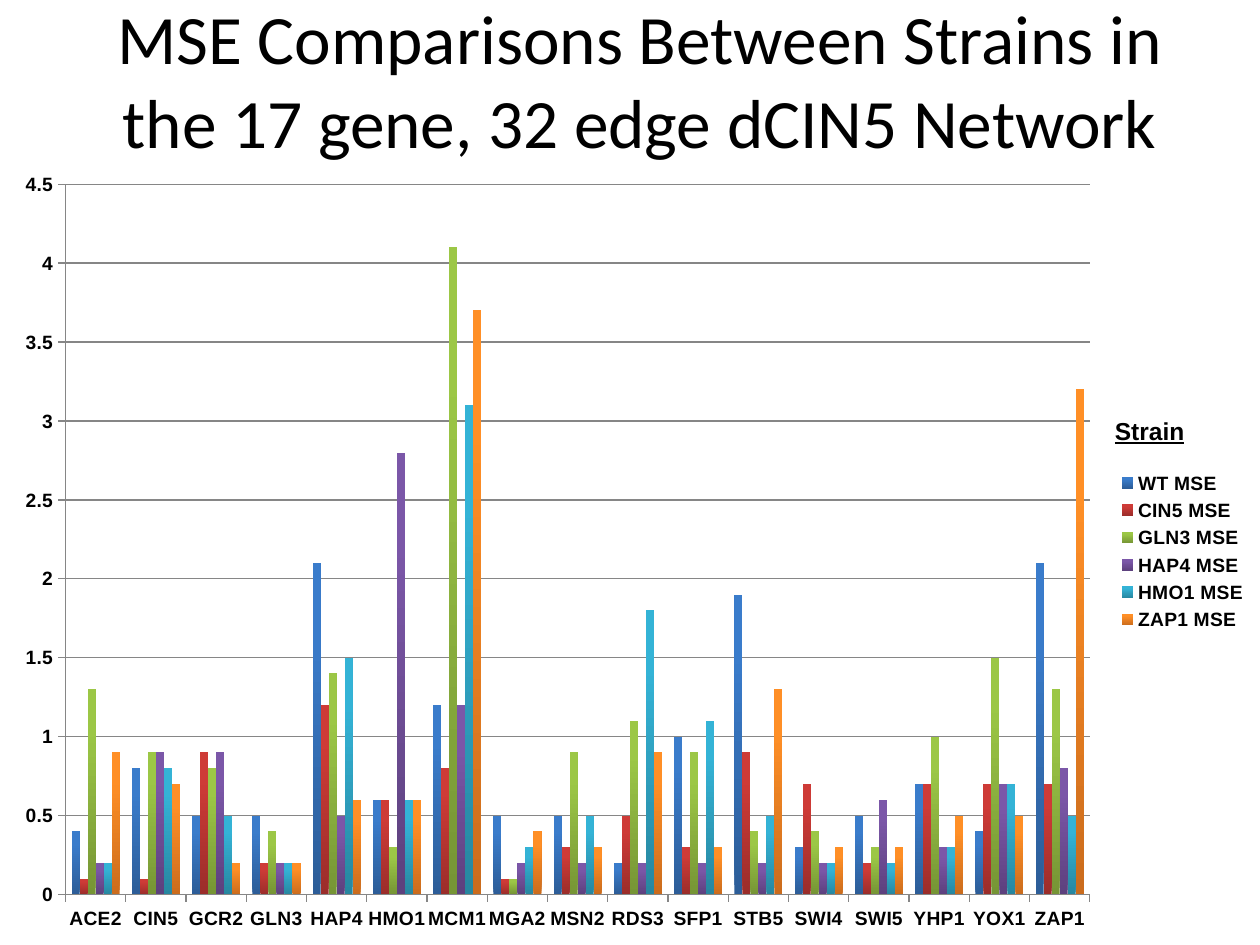
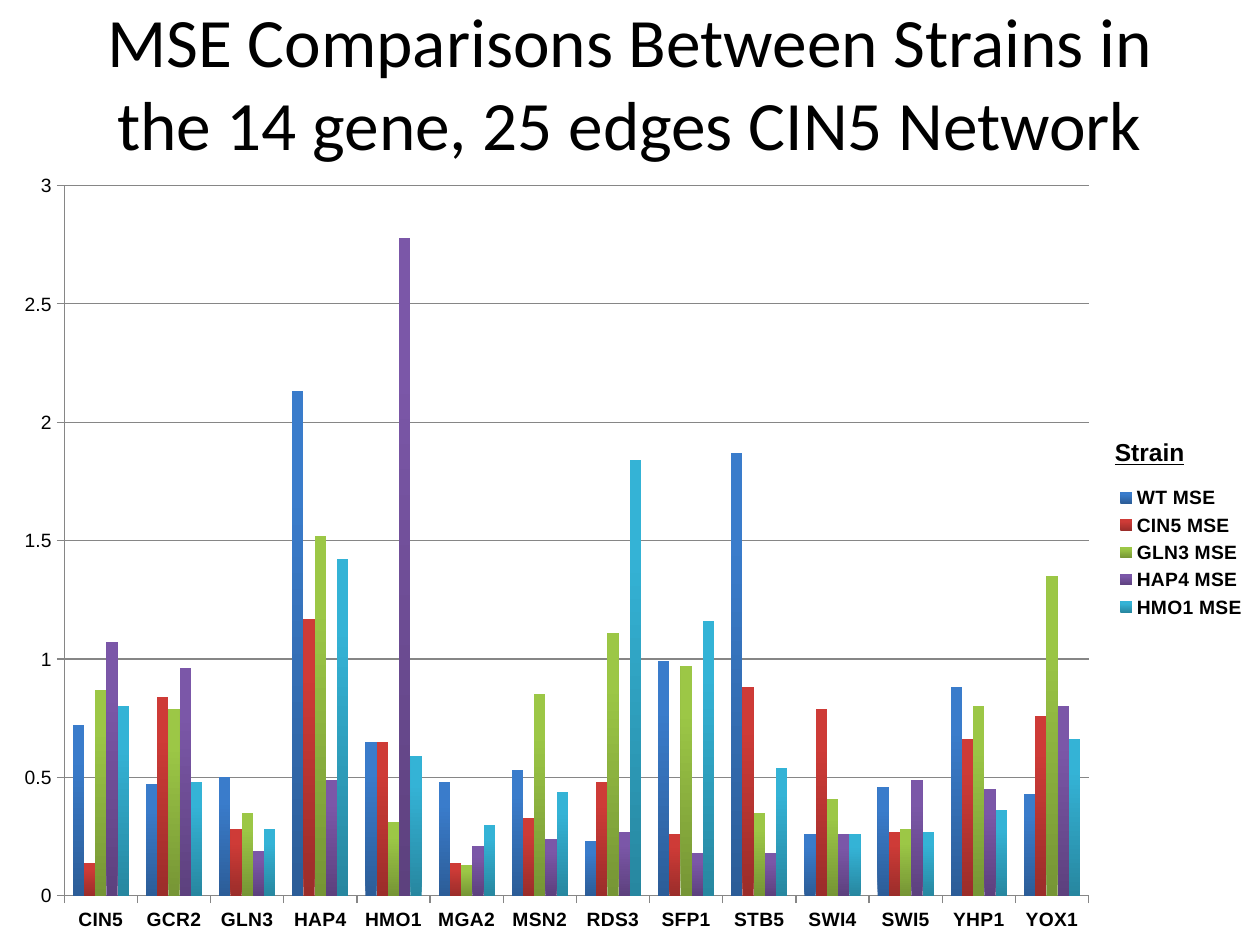
from dataclasses import dataclass
from typing import NamedTuple

from lxml.etree import SubElement
from pptx import Presentation
from pptx.chart.axis import _BaseAxis as Axis
from pptx.chart.data import CategoryChartData as ChartData
from pptx.dml.color import RGBColor
from pptx.enum.chart import XL_CHART_TYPE as ChartType
from pptx.enum.chart import XL_LEGEND_POSITION as LegendPosition
from pptx.enum.chart import XL_TICK_MARK as TickMark
from pptx.enum.text import MSO_ANCHOR as Anchor
from pptx.enum.text import PP_ALIGN as Align
from pptx.oxml.ns import qn
from pptx.slide import Slide
from pptx.util import Pt

BLACK = "000000"
GRID_GREY = "868686"
PLOT_AREA = {"x": 0.05, "y": 0.03, "w": 0.81, "h": 0.9}
PLOT_AREA = {"x": 0.052, "y": 0.034, "w": 0.813, "h": 0.902}


class Frame(NamedTuple):
    """Left, top, width and height in points."""
    left: float
    top: float
    width: float
    height: float


class Shade(NamedTuple):
    """Bottom and top colours of a strain's bars."""
    bottom: str
    top: str


@dataclass
class TextStyle:
    """Look of one text box."""
    font: str
    size: float
    align: Align = Align.LEFT
    anchor: Anchor = Anchor.TOP
    bold: bool = False
    underline: bool = False


@dataclass
class Comparison:
    """One slide comparing strains across the genes of a network."""
    title: str
    title_frame: Frame
    chart_frame: Frame
    strain_frame: Frame
    bold_values: bool
    genes: list[str]
    errors: dict[str, list[float]]


TITLE = TextStyle("Calibri", 39.6, Align.CENTER, Anchor.MIDDLE)
STRAIN = TextStyle("Arial", 14, bold=True, underline=True)
SHADES = {
    "WT": Shade("2C5D98", "3A7CCB"),
    "CIN5": Shade("9B2D2A", "CE3B37"),
    "GLN3": Shade("769535", "9CC746"),
    "HAP4": Shade("5D417E", "7B57A8"),
    "HMO1": Shade("2787A0", "34B3D6"),
    "ZAP1": Shade("CB6C1D", "FF8F26"),
}
COMPARISONS = [
    Comparison(
        "MSE Comparisons Between Strains in the 17 gene, 32 edge dCIN5 Network",
        Frame(41.76, 0, 648, 90), Frame(0, 90, 720, 450), Frame(630, 234, 77.76, 24.48), True,
        "ACE2 CIN5 GCR2 GLN3 HAP4 HMO1 MCM1 MGA2 MSN2 RDS3 SFP1 STB5 SWI4 SWI5 YHP1 YOX1 ZAP1".split(),
        {
            "WT": [0.4, 0.8, 0.5, 0.5, 2.1, 0.6, 1.2, 0.5, 0.5, 0.2, 1, 1.9, 0.3, 0.5, 0.7, 0.4, 2.1],
            "CIN5": [0.1, 0.1, 0.9, 0.2, 1.2, 0.6, 0.8, 0.1, 0.3, 0.5, 0.3, 0.9, 0.7, 0.2, 0.7, 0.7, 0.7],
            "GLN3": [1.3, 0.9, 0.8, 0.4, 1.4, 0.3, 4.1, 0.1, 0.9, 1.1, 0.9, 0.4, 0.4, 0.3, 1, 1.5, 1.3],
            "HAP4": [0.2, 0.9, 0.9, 0.2, 0.5, 2.8, 1.2, 0.2, 0.2, 0.2, 0.2, 0.2, 0.2, 0.6, 0.3, 0.7, 0.8],
            "HMO1": [0.2, 0.8, 0.5, 0.2, 1.5, 0.6, 3.1, 0.3, 0.5, 1.8, 1.1, 0.5, 0.2, 0.2, 0.3, 0.7, 0.5],
            "ZAP1": [0.9, 0.7, 0.2, 0.2, 0.6, 0.6, 3.7, 0.4, 0.3, 0.9, 0.3, 1.3, 0.3, 0.3, 0.5, 0.5, 3.2],
        },
    ),
    Comparison(
        "MSE Comparisons Between Strains in the 14 gene, 25 edges CIN5 Network",
        Frame(36, 1.44, 648, 90), Frame(-0.72, 90.72, 720, 450), Frame(630, 246.24, 77.76, 24.48), False,
        "CIN5 GCR2 GLN3 HAP4 HMO1 MGA2 MSN2 RDS3 SFP1 STB5 SWI4 SWI5 YHP1 YOX1".split(),
        {
            "WT": [0.72, 0.47, 0.5, 2.13, 0.65, 0.48, 0.53, 0.23, 0.99, 1.87, 0.26, 0.46, 0.88, 0.43],
            "CIN5": [0.14, 0.84, 0.28, 1.17, 0.65, 0.14, 0.33, 0.48, 0.26, 0.88, 0.79, 0.27, 0.66, 0.76],
            "GLN3": [0.87, 0.79, 0.35, 1.52, 0.31, 0.13, 0.85, 1.11, 0.97, 0.35, 0.41, 0.28, 0.8, 1.35],
            "HAP4": [1.07, 0.96, 0.19, 0.49, 2.78, 0.21, 0.24, 0.27, 0.18, 0.18, 0.26, 0.49, 0.45, 0.8],
            "HMO1": [0.8, 0.48, 0.28, 1.42, 0.59, 0.3, 0.44, 1.84, 1.16, 0.54, 0.26, 0.27, 0.36, 0.66],
        },
    ),
]


def color(value: str) -> RGBColor:
    """Turn a hex string into a colour."""
    return RGBColor.from_string(value)


def style_font(font, name: str, size: float, bold: bool) -> None:
    """Set the face, size, weight and colour of a font."""
    font.name, font.size, font.bold = name, Pt(size), bold
    font.color.rgb = color(BLACK)


def add_text(page: Slide, text: str, frame: Frame, style: TextStyle) -> None:
    """Add a wrapped text box with one run."""
    box = page.shapes.add_textbox(*map(Pt, frame))
    box.text_frame.word_wrap = True
    box.text_frame.vertical_anchor = style.anchor
    para = box.text_frame.paragraphs[0]
    para.alignment = style.align
    span = para.add_run()
    span.text = text
    style_font(span.font, style.font, style.size, style.bold)
    span.font.underline = style.underline


def style_axis(axis: Axis, bold: bool) -> None:
    """Give an axis outer ticks, a grey line and black labels."""
    axis.major_tick_mark, axis.minor_tick_mark = TickMark.OUTSIDE, TickMark.NONE
    axis.format.line.color.rgb = color(GRID_GREY)
    axis.format.line.width = Pt(0.75)
    style_font(axis.tick_labels.font, "Arial", 11, bold)


def place_plot(chart) -> None:
    """Fix the inner plot area as fractions of the chart."""
    plot_area = chart.plots[0]._element.getparent()
    for old in plot_area.findall(qn("c:layout")):
        plot_area.remove(old)
    layout = SubElement(plot_area, qn("c:layout"))
    plot_area.insert(0, layout)
    manual = SubElement(layout, qn("c:manualLayout"))
    settings = {"layoutTarget": "inner", "xMode": "edge", "yMode": "edge", **PLOT_AREA}
    for name, value in settings.items():
        SubElement(manual, qn(f"c:{name}")).set("val", str(value))


def add_error_chart(page: Slide, comparison: Comparison) -> None:
    """Add the clustered columns of errors by gene and strain."""
    data = ChartData()
    data.categories = comparison.genes
    for strain, values in comparison.errors.items():
        data.add_series(f"{strain} MSE", values)
    chart = page.shapes.add_chart(
        ChartType.COLUMN_CLUSTERED, *map(Pt, comparison.chart_frame), data).chart
    chart.has_title = False
    style_font(chart.font, "Arial", 11, comparison.bold_values)
    chart.has_legend = True
    chart.legend.position = LegendPosition.RIGHT
    chart.legend.include_in_layout = False
    style_font(chart.legend.font, "Arial", 11, True)
    style_axis(chart.category_axis, True)
    style_axis(chart.value_axis, comparison.bold_values)
    chart.value_axis.has_major_gridlines = True
    grid = chart.value_axis.major_gridlines.format.line
    grid.color.rgb, grid.width = color(GRID_GREY), Pt(0.75)
    plot = chart.plots[0]
    plot.gap_width, plot.vary_by_categories = 150, False
    for series, strain in zip(plot.series, comparison.errors):
        series.invert_if_negative = False
        fill = series.format.fill
        fill.gradient()
        fill.gradient_angle = 90
        for stop, position, shade in zip(fill.gradient_stops, (0, 0.8), SHADES[strain]):
            stop.position, stop.color.rgb = position, color(shade)
    place_plot(chart)


def main() -> None:
    """Build and save the deck."""
    deck = Presentation()
    deck.slide_width, deck.slide_height = Pt(720), Pt(540)
    for comparison in COMPARISONS:
        page = deck.slides.add_slide(deck.slide_layouts[6])
        add_text(page, comparison.title, comparison.title_frame, TITLE)
        add_error_chart(page, comparison)
        add_text(page, "Strain", comparison.strain_frame, STRAIN)
    deck.save("out.pptx")


if __name__ == "__main__":
    main()
